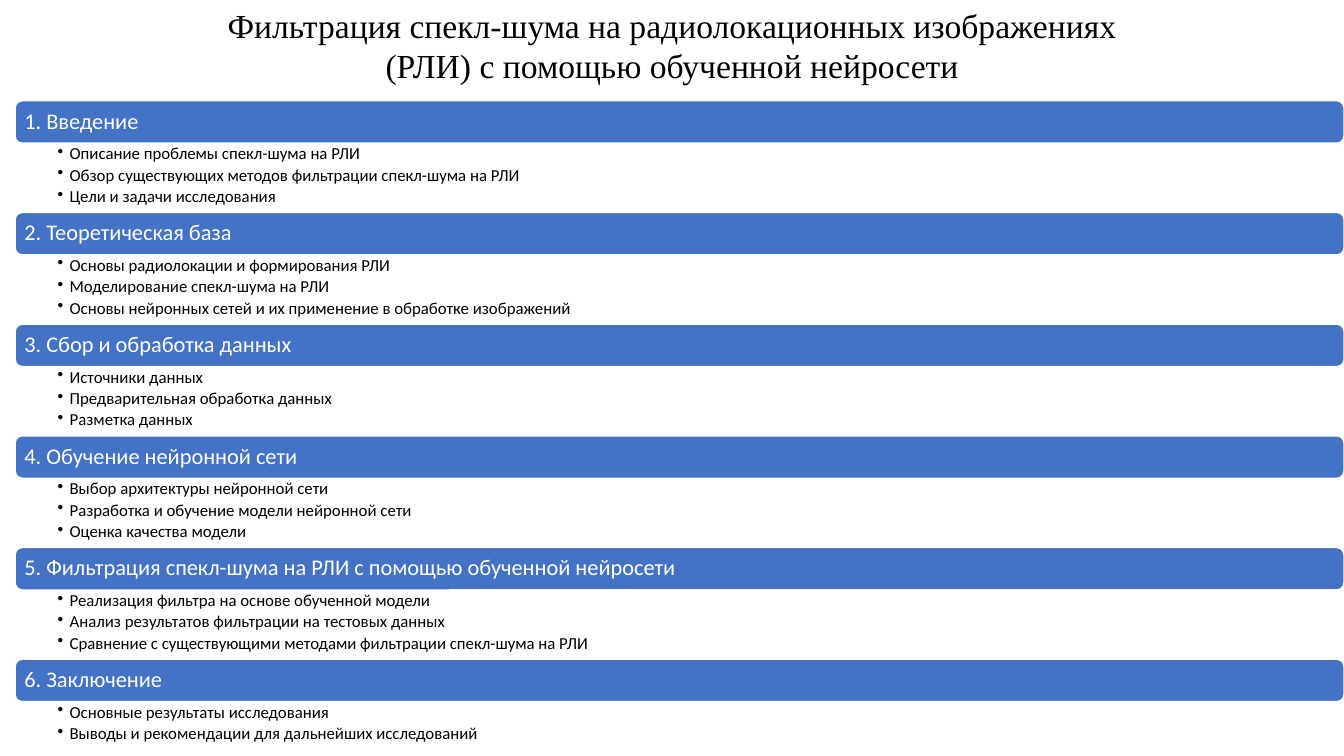
"""Build the outline slide: a title above six numbered bars with bullets."""
import lxml.etree
import pptx
import pptx.dml.color
import pptx.enum.shapes
import pptx.enum.text
import pptx.oxml.ns
import pptx.util

WIDE, HIGH = 13.33, 7.5
INK = {"bar": "4472C4", "white": "FFFFFF", "black": "000000"}
TITLE = ("Фильтрация спекл-шума на радиолокационных\u00a0изображениях "
         "(РЛИ) с помощью обученной нейросети")
PARTS = [
    ("1. Введение", [
        "Описание проблемы спекл-шума на РЛИ",
        "Обзор существующих методов фильтрации спекл-шума на РЛИ",
        "Цели и задачи исследования"]),
    ("2. Теоретическая база", [
        "Основы радиолокации и формирования РЛИ",
        "Моделирование спекл-шума на РЛИ",
        "Основы нейронных сетей и их применение в обработке изображений"]),
    ("3. Сбор и обработка данных", [
        "Источники данных",
        "Предварительная обработка данных",
        "Разметка данных"]),
    ("4. Обучение нейронной сети", [
        "Выбор архитектуры нейронной сети",
        "Разработка и обучение модели нейронной сети",
        "Оценка качества модели"]),
    ("5. Фильтрация спекл-шума на РЛИ с помощью обученной нейросети", [
        "Реализация фильтра на основе обученной модели",
        "Анализ результатов фильтрации на тестовых данных",
        "Сравнение с существующими методами фильтрации спекл-шума на РЛИ"]),
    ("6. Заключение", [
        "Основные результаты исследования",
        "Выводы и рекомендации для дальнейших исследований"]),
]


def tint(name):
    return pptx.dml.color.RGBColor.from_string(INK[name])


def place(box):
    """Turn a box in percent of the slide into lengths."""
    sides = (WIDE, HIGH, WIDE, HIGH)
    return [pptx.util.Inches(part * side / 100) for part, side in zip(box, sides)]


def inset(frame, *gaps):
    names = ("margin_left", "margin_top", "margin_right", "margin_bottom")
    for name, gap in zip(names, gaps):
        setattr(frame, name, pptx.util.Inches(gap))
    frame.word_wrap = True


def write(para, text, size, name, face="Calibri"):
    para.text = text
    para.font.size = pptx.util.Pt(size)
    para.font.name = face
    para.font.color.rgb = tint(name)


def dot(para):
    """Give a paragraph a hanging round bullet."""
    props = para._p.get_or_add_pPr()
    step = pptx.util.Inches(0.12)
    props.set("marL", str(step))
    props.set("indent", str(-step))
    mark = lxml.etree.SubElement(props, pptx.oxml.ns.qn("a:buChar"))
    mark.set("char", "•")


def head(slide, box):
    frame = slide.shapes.add_textbox(*place(box)).text_frame
    frame.word_wrap = True
    frame.auto_size = pptx.enum.text.MSO_AUTO_SIZE.SHAPE_TO_FIT_TEXT
    para = frame.paragraphs[0]
    write(para, TITLE, 24, "black", "Times New Roman")
    para.alignment = pptx.enum.text.PP_ALIGN.CENTER


def strip(slide, box, text):
    kind = pptx.enum.shapes.MSO_SHAPE.ROUNDED_RECTANGLE
    bar = slide.shapes.add_shape(kind, *place(box))
    bar.shadow.inherit = False
    bar.fill.solid()
    bar.fill.fore_color.rgb = tint("bar")
    bar.line.color.rgb = tint("white")
    bar.line.width = pptx.util.Pt(1)
    frame = bar.text_frame
    inset(frame, 0.07, 0.07, 0.07, 0.07)
    frame.vertical_anchor = pptx.enum.text.MSO_ANCHOR.MIDDLE
    para = frame.paragraphs[0]
    write(para, text, 16, "white")
    para.alignment = pptx.enum.text.PP_ALIGN.LEFT
    para.line_spacing = 0.9


def points(slide, box, lines):
    frame = slide.shapes.add_textbox(*place(box)).text_frame
    inset(frame, 0.42, 0.02, 0.12, 0.02)
    for rank, line in enumerate(lines):
        para = frame.add_paragraph() if rank else frame.paragraphs[0]
        write(para, line, 12, "black")
        para.level = 1
        para.line_spacing = 0.9
        para.space_after = pptx.util.Pt(2.3)
        dot(para)


def stack(slide, box):
    """Split the box into equal rows, each a bar over its bullets."""
    left, top, wide, high = box
    row = high / len(PARTS)
    bar = row * 0.38
    for rank, (text, lines) in enumerate(PARTS):
        edge = top + rank * row
        body = (row - bar) * (1 if len(lines) > 2 else 0.65)
        strip(slide, (left, edge, wide, bar), text)
        points(slide, (left, edge + bar, wide, body), lines)


def main():
    deck = pptx.Presentation()
    deck.slide_width = pptx.util.Inches(WIDE)
    deck.slide_height = pptx.util.Inches(HIGH)
    slide = deck.slides.add_slide(deck.slide_layouts[6])
    head(slide, (13.43, 0, 73.14, 12.13))
    stack(slide, (1.13, 13.33, 98.87, 88.64))
    deck.save("out.pptx")


main()
